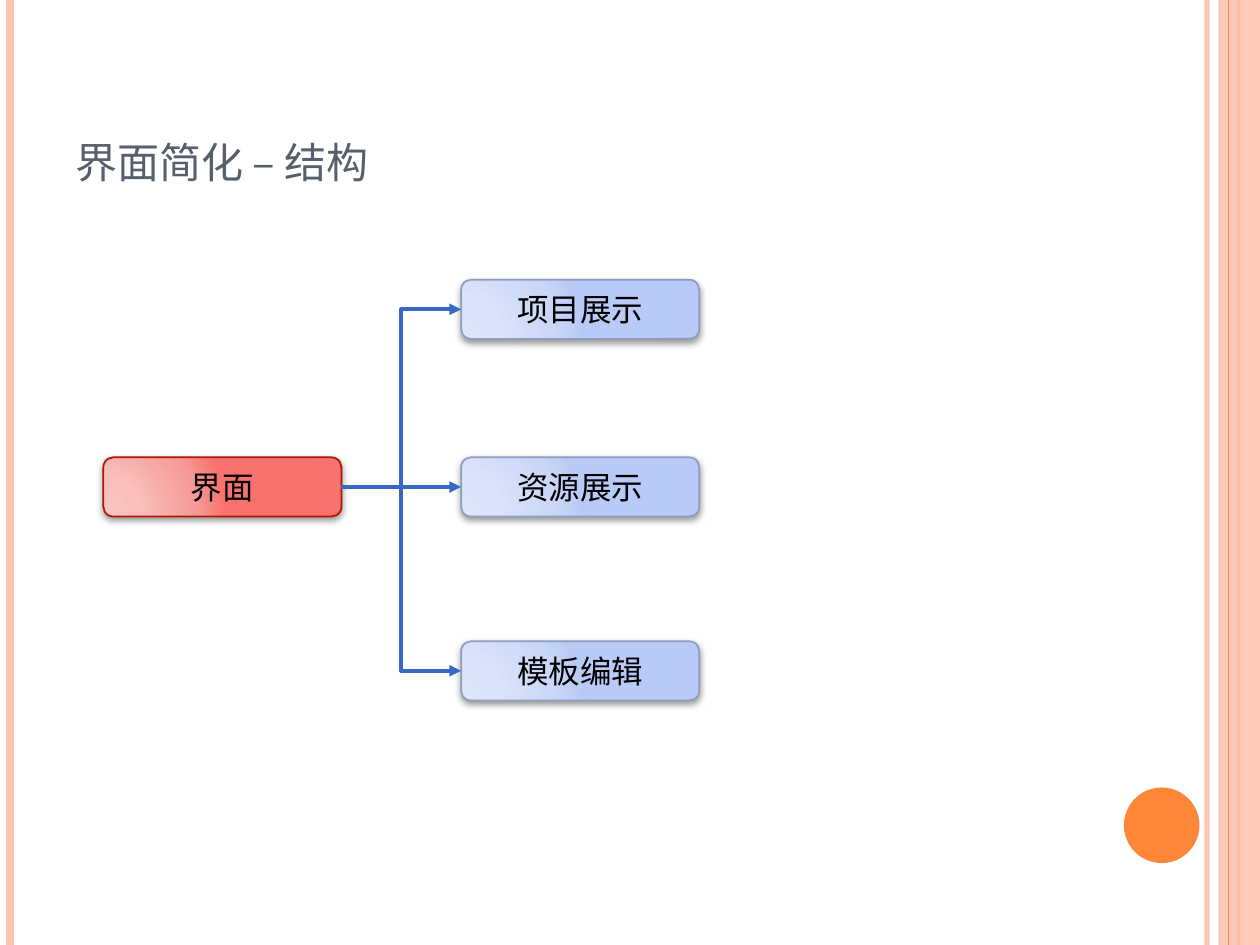
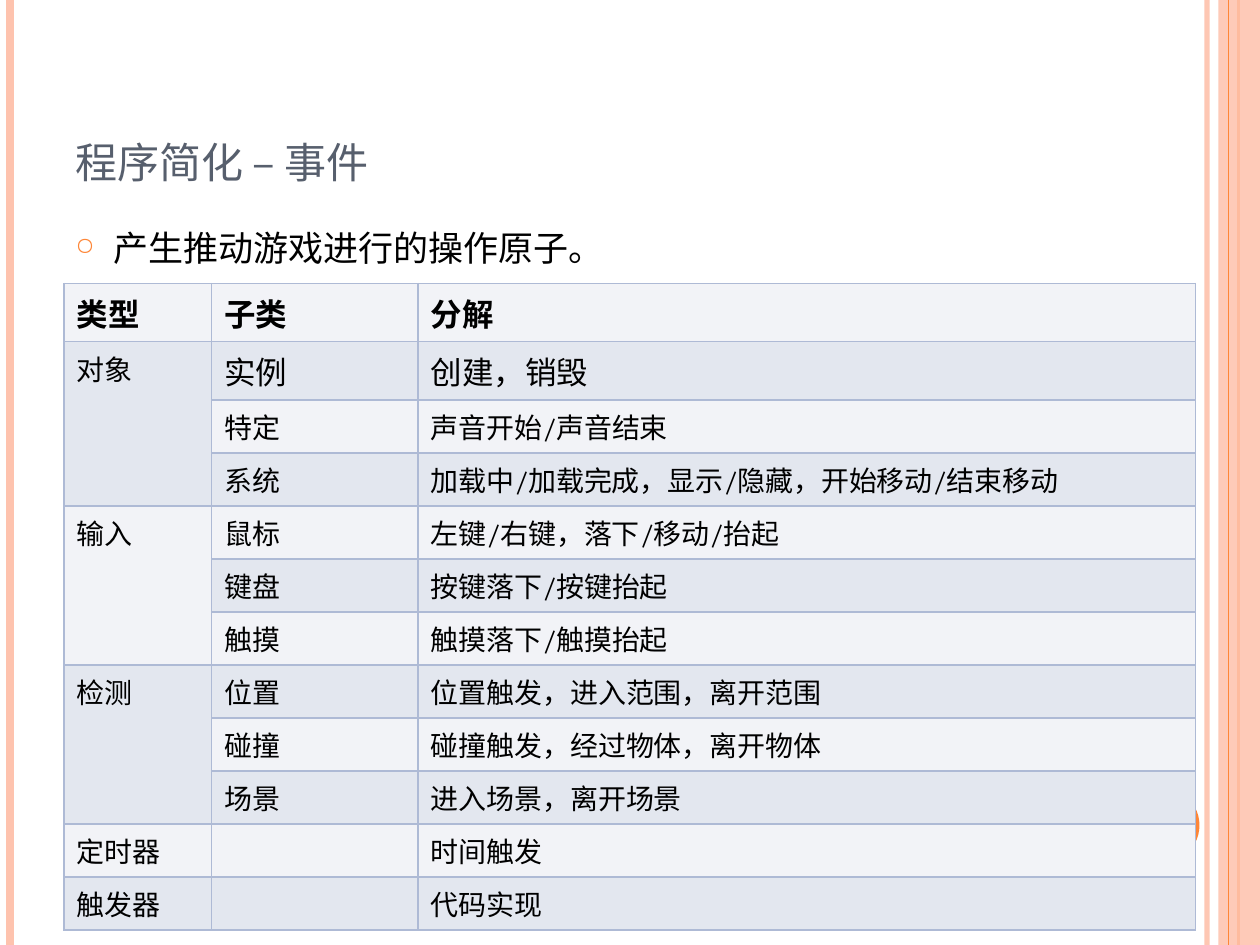
from lxml import etree
from pptx import Presentation
from pptx import util as u
from pptx.dml.color import RGBColor
from pptx.enum import lang, shapes, text
from pptx.oxml import parse_xml
from pptx.oxml.ns import nsdecls, qn

# Content
COLORS = {
    "accent": "FE8637", "pale": "FEC3AE", "title": "575F6D", "text": "000000",
    "arrow": "3668C4", "border": "AEBAD5", "light": "F2F3F7", "dark": "E3E7EF",
}
FONT = "Cambria"
STRUCTURE_TITLE = "界面简化 – 结构"
ROOT = "界面"
BRANCHES = [("项目展示", 2.22), ("资源展示", 3.63), ("模板编辑", 5.09)]
NODE_STYLES = {
    "root": (["F8C5C3", "F8BFBD", "F69B98", "F8736E"], "AC1800"),
    "branch": (["DEE6FA", "DBE4F9", "CAD7F7", "B8CAF5"], "8D9CBF"),
}

EVENTS_TITLE = "程序简化 – 事件"
EVENTS_INTRO = "产生推动游戏进行的操作原子。"
EVENTS_HEADER = ("类型", "子类", "分解")
EVENTS = [
    ("对象", [("实例", "创建，销毁"),
            ("特定", "声音开始/声音结束"),
            ("系统", "加载中/加载完成，显示/隐藏，开始移动/结束移动")]),
    ("输入", [("鼠标", "左键/右键，落下/移动/抬起"),
            ("键盘", "按键落下/按键抬起"),
            ("触摸", "触摸落下/触摸抬起")]),
    ("检测", [("位置", "位置触发，进入范围，离开范围"),
            ("碰撞", "碰撞触发，经过物体，离开物体"),
            ("场景", "进入场景，离开场景")]),
    ("定时器", [("", "时间触发")]),
    ("触发器", [("", "代码实现")]),
]
COL_WIDTHS = [1.17, 1.64, 6.17]

# Layout, in inches
SLIDE_W, SLIDE_H = 10, 7.5
NODE_W, NODE_H = 1.89, 0.47
ROOT_AT, BRANCH_LEFT = (0.82, 3.63), 3.66
SIDE_LINES = [(9.58, "pale", 3, 93), (0.08, "pale", 4.5, 100),
              (9.83, "accent", 1.5, 100), (9.75, "accent", 0.75, 100)]


def rgb(color):
    return RGBColor.from_string(COLORS.get(color, color))


def box(*lengths):
    return [u.Inches(v) for v in lengths]


def write(tf, content, size=18, color="text", bold=False, align=None,
          anchor=None, small_caps=False):
    tf.word_wrap = True
    if anchor is not None:
        tf.vertical_anchor = anchor
    p = tf.paragraphs[0]
    p.alignment = align
    r = p.add_run()
    r.text = content
    r.font.name, r.font.size, r.font.bold = FONT, u.Pt(size), bold
    r.font.color.rgb = rgb(color)
    r.font.language_id = lang.MSO_LANGUAGE_ID.SIMPLIFIED_CHINESE
    if small_caps:
        r.font._element.set("cap", "small")
    return p


def set_alpha(sp, percent):
    for clr in sp.element.spPr.iter(qn("a:srgbClr")):
        etree.SubElement(clr, qn("a:alpha"), val=str(percent * 1000))


def add_line(slide, kind, ends, color, width):
    line = slide.shapes.add_connector(kind, *box(*ends))
    line.line.color.rgb = rgb(color)
    line.line.width = u.Pt(width)
    etree.SubElement(line.element.spPr, qn("a:effectLst"))
    return line


def add_filled(slide, kind, at, color):
    sp = slide.shapes.add_shape(kind, *box(*at))
    sp.shadow.inherit = False
    sp.fill.solid()
    sp.fill.fore_color.rgb = rgb(color)
    sp.line.fill.background()
    return sp


def decorate_layout(layout, slide):
    """Draw the side bands and the disc, then hand them to the layout."""
    parts = []
    for x, color, width, alpha in SIDE_LINES:
        line = add_line(slide, shapes.MSO_CONNECTOR.STRAIGHT,
                        (x, 0, x, SLIDE_H), color, width)
        if alpha < 100:
            set_alpha(line, alpha)
        parts.append(line)
    band = add_filled(slide, shapes.MSO_SHAPE.RECTANGLE,
                      (9.67, 0, 0.33, SLIDE_H), "pale")
    set_alpha(band, 87)
    parts.insert(3, band)
    parts.append(add_filled(slide, shapes.MSO_SHAPE.OVAL,
                            (8.92, 6.25, 0.6, 0.6), "accent"))
    for sp in parts:
        layout.element.cSld.spTree.append(sp.element)


def add_titled_slide(prs, title):
    slide = prs.slides.add_slide(prs.slide_layouts[5])
    sp = slide.shapes.title
    sp.left, sp.top, sp.width, sp.height = box(0.5, 0.3, 8.17, 1.25)
    sp.text_frame.auto_size = text.MSO_AUTO_SIZE.NONE
    write(sp.text_frame, title, size=30, color="title", small_caps=True,
          align=text.PP_ALIGN.LEFT, anchor=text.MSO_ANCHOR.BOTTOM)
    return slide


# Structure diagram
def add_node(slide, label, left, top, style):
    stops, outline = NODE_STYLES[style]
    sp = add_filled(slide, shapes.MSO_SHAPE.ROUNDED_RECTANGLE,
                    (left, top, NODE_W, NODE_H), stops[0])
    sp.line.color.rgb = rgb(outline)
    sp.line.width = u.Pt(1)
    gs = "".join(f'<a:gs pos="{pos * 1000}"><a:srgbClr val="{c}"/></a:gs>'
                 for pos, c in zip((0, 30, 75, 100), stops))
    gradient = parse_xml(
        f'<a:gradFill {nsdecls("a")}><a:gsLst>{gs}</a:gsLst><a:path path="circle">'
        '<a:fillToRect l="5000" t="100000" r="120000" b="10000"/></a:path></a:gradFill>')
    spPr = sp.element.spPr
    spPr.replace(spPr.find(qn("a:solidFill")), gradient)
    spPr.find(qn("a:effectLst")).append(parse_xml(
        f'<a:outerShdw {nsdecls("a")} blurRad="{u.Pt(4)}" dist="{u.Pt(2)}" '
        'dir="5400000" rotWithShape="0"><a:srgbClr val="000000">'
        '<a:alpha val="40000"/></a:srgbClr></a:outerShdw>'))
    write(sp.text_frame, label, align=text.PP_ALIGN.CENTER,
          anchor=text.MSO_ANCHOR.MIDDLE)
    return sp


def build_structure(slide):
    root = add_node(slide, ROOT, *ROOT_AT, "root")
    for label, top in BRANCHES:
        branch = add_node(slide, label, BRANCH_LEFT, top, "branch")
        ends = (BRANCH_LEFT, top + NODE_H / 2,
                ROOT_AT[0] + NODE_W, ROOT_AT[1] + NODE_H / 2)
        arrow = add_line(slide, shapes.MSO_CONNECTOR.ELBOW, ends, "arrow", 2.25)
        arrow.begin_connect(branch, 1)
        arrow.end_connect(root, 3)
        etree.SubElement(arrow.line._get_or_add_ln(), qn("a:headEnd"), type="triangle")


# Event table
def style_cell(cell, fill):
    tcPr = cell._tc.get_or_add_tcPr()
    for side in ("lnL", "lnR", "lnT", "lnB"):
        tcPr.append(parse_xml(
            f'<a:{side} {nsdecls("a")} w="{u.Pt(1)}"><a:solidFill>'
            f'<a:srgbClr val="{COLORS["border"]}"/></a:solidFill></a:{side}>'))
    cell.fill.solid()
    cell.fill.fore_color.rgb = rgb(fill)


def build_events(slide):
    rows = [EVENTS_HEADER]
    spans = []
    for kind, details in EVENTS:
        spans.append((len(rows), len(details)))
        rows += [(kind if i == 0 else "", *d) for i, d in enumerate(details)]
    heights = [0.44] * 2 + [0.41] * (len(rows) - 2)
    table = slide.shapes.add_table(
        len(rows), len(COL_WIDTHS),
        *box(0.51, 2.25, sum(COL_WIDTHS), sum(heights))).table
    table.first_row = table.horz_banding = False
    for col, width in zip(table.columns, COL_WIDTHS):
        col.width = u.Inches(width)
    for i, (values, height) in enumerate(zip(rows, heights)):
        table.rows[i].height = u.Inches(height)
        for j, value in enumerate(values):
            cell = table.cell(i, j)
            style_cell(cell, "dark" if i % 2 else "light")
            if value:
                large = i == 0 or (i == 1 and j > 0)
                write(cell.text_frame, value, size=18 if large else 16, bold=i == 0)
    for first, count in spans:
        if count > 1:
            table.cell(first, 0).merge(table.cell(first + count - 1, 0))

    # Introductory bullet
    intro = slide.shapes.add_textbox(*box(0.5, 1.75, 8.99, 0.5))
    p = write(intro.text_frame, EVENTS_INTRO, size=20)
    p.space_before = u.Pt(6)
    pPr = p._p.get_or_add_pPr()
    pPr.set("marL", str(u.Inches(0.3)))
    pPr.set("indent", str(u.Inches(-0.3)))
    color = etree.SubElement(pPr, qn("a:buClr"))
    etree.SubElement(color, qn("a:srgbClr"), val=COLORS["accent"])
    etree.SubElement(pPr, qn("a:buSzPct"), val="70000")
    etree.SubElement(pPr, qn("a:buChar"), char="○")


def main():
    prs = Presentation()
    prs.slide_width, prs.slide_height = box(SLIDE_W, SLIDE_H)
    structure = add_titled_slide(prs, STRUCTURE_TITLE)
    decorate_layout(structure.slide_layout, structure)
    build_structure(structure)
    build_events(add_titled_slide(prs, EVENTS_TITLE))
    prs.save("out.pptx")


if __name__ == "__main__":
    main()
